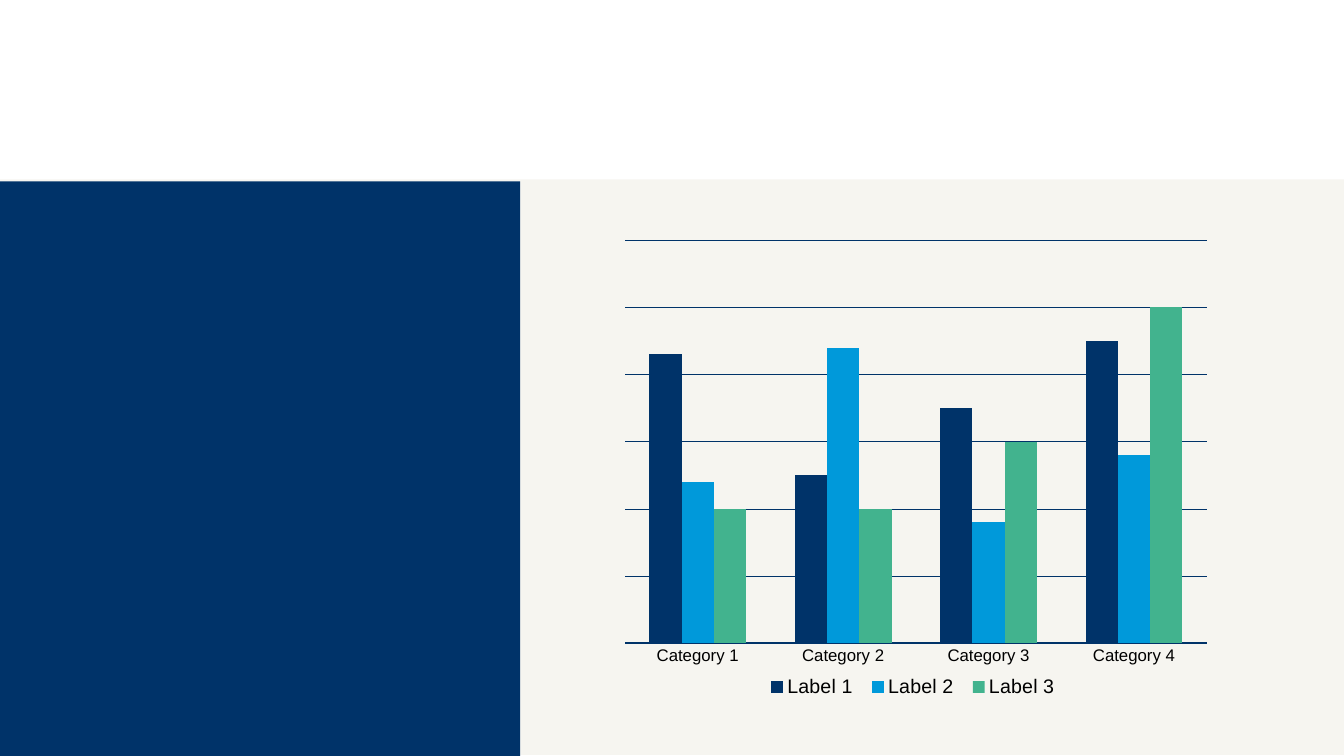
from lxml import etree
from pptx import Presentation
from pptx.chart.data import CategoryChartData
from pptx.dml.color import RGBColor
from pptx.enum.chart import XL_CHART_TYPE, XL_LEGEND_POSITION, XL_TICK_LABEL_POSITION, XL_TICK_MARK
from pptx.enum.shapes import MSO_SHAPE
from pptx.oxml.ns import qn
from pptx.util import Pt

PX = 9144
RECTANGLE = MSO_SHAPE.RECTANGLE
COLUMNS = XL_CHART_TYPE.COLUMN_CLUSTERED
BOTTOM = XL_LEGEND_POSITION.BOTTOM
NEXT_TO_AXIS = XL_TICK_LABEL_POSITION.NEXT_TO_AXIS
NO_TICK = XL_TICK_MARK.NONE
CREAM = RGBColor(0xF6, 0xF5, 0xF0)
NAVY = RGBColor(0x00, 0x33, 0x69)
BLUE = RGBColor(0x00, 0x99, 0xDA)
GREEN = RGBColor(0x42, 0xB3, 0x8E)
BLACK = RGBColor(0x00, 0x00, 0x00)


def format_font(font, size, color):
    font.name = "Arial"
    font.size = Pt(size)
    font.bold = False
    font.color.rgb = color


def place_part(layout, **settings):
    manual = etree.SubElement(layout, qn("c:manualLayout"))
    for tag, value in settings.items():
        etree.SubElement(manual, qn(f"c:{tag}")).set("val", str(value))


deck = Presentation()
deck.slide_width = 1333 * PX
deck.slide_height = 750 * PX
page = deck.slides.add_slide(deck.slide_layouts[6])

panels = [
    (0, 178, 1333, 571, CREAM),
    (0, 180, 516, 570, NAVY),
]
for left, top, width, height, color in panels:
    panel = page.shapes.add_shape(RECTANGLE, left * PX, top * PX, width * PX, height * PX)
    panel.shadow.inherit = False
    panel.fill.solid()
    panel.fill.fore_color.rgb = color
    panel.line.fill.background()

series_rows = [
    ("Label 1", (86, 50, 70, 90), NAVY),
    ("Label 2", (48, 88, 36, 56), BLUE),
    ("Label 3", (40, 40, 60, 100), GREEN),
]
data = CategoryChartData()
data.categories = [f"Category {number}" for number in range(1, 5)]
for name, values, color in series_rows:
    data.add_series(name, values)

frame = page.shapes.add_chart(COLUMNS, 608 * PX, 185 * PX, 601 * PX, 520 * PX, data)
chart = frame.chart
chart.has_title = False
format_font(chart.font, 10, NAVY)

plot = chart.plots[0]
plot.vary_by_categories = False
plot.gap_width = 150
plot.overlap = 0
for series, (name, values, color) in zip(plot.series, series_rows):
    series.invert_if_negative = False
    series.format.fill.solid()
    series.format.fill.fore_color.rgb = color

category_axis = chart.category_axis
category_axis.major_tick_mark = NO_TICK
category_axis.minor_tick_mark = NO_TICK
category_axis.tick_label_position = NEXT_TO_AXIS
category_axis.format.line.color.rgb = NAVY
category_axis.format.line.width = Pt(0.75)
format_font(category_axis.tick_labels.font, 12, BLACK)

value_axis = chart.value_axis
value_axis.minimum_scale = 0
value_axis.maximum_scale = 120
value_axis.major_unit = 20
value_axis.major_tick_mark = NO_TICK
value_axis.has_major_gridlines = True
value_axis.major_gridlines.format.line.color.rgb = NAVY
value_axis.major_gridlines.format.line.width = Pt(0.25)
value_axis.visible = False

chart.has_legend = True
chart.legend.position = BOTTOM
chart.legend.include_in_layout = False
format_font(chart.legend.font, 14, BLACK)

plot_area = chart.element.find(".//" + qn("c:plotArea"))
for old_layout in plot_area.findall(qn("c:layout")):
    plot_area.remove(old_layout)
plot_layout = etree.Element(qn("c:layout"))
plot_area.insert(0, plot_layout)
place_part(plot_layout, layoutTarget="inner", xMode="edge", yMode="edge", x=0.02, y=0.103, w=0.96, h=0.768)

legend = chart.element.find(".//" + qn("c:legend"))
for old_layout in legend.findall(qn("c:layout")):
    legend.remove(old_layout)
legend_layout = etree.Element(qn("c:layout"))
legend.find(qn("c:legendPos")).addnext(legend_layout)
place_part(legend_layout, xMode="edge", yMode="edge", x=0.24, y=0.915, w=0.51, h=0.08)

deck.save("out.pptx")
